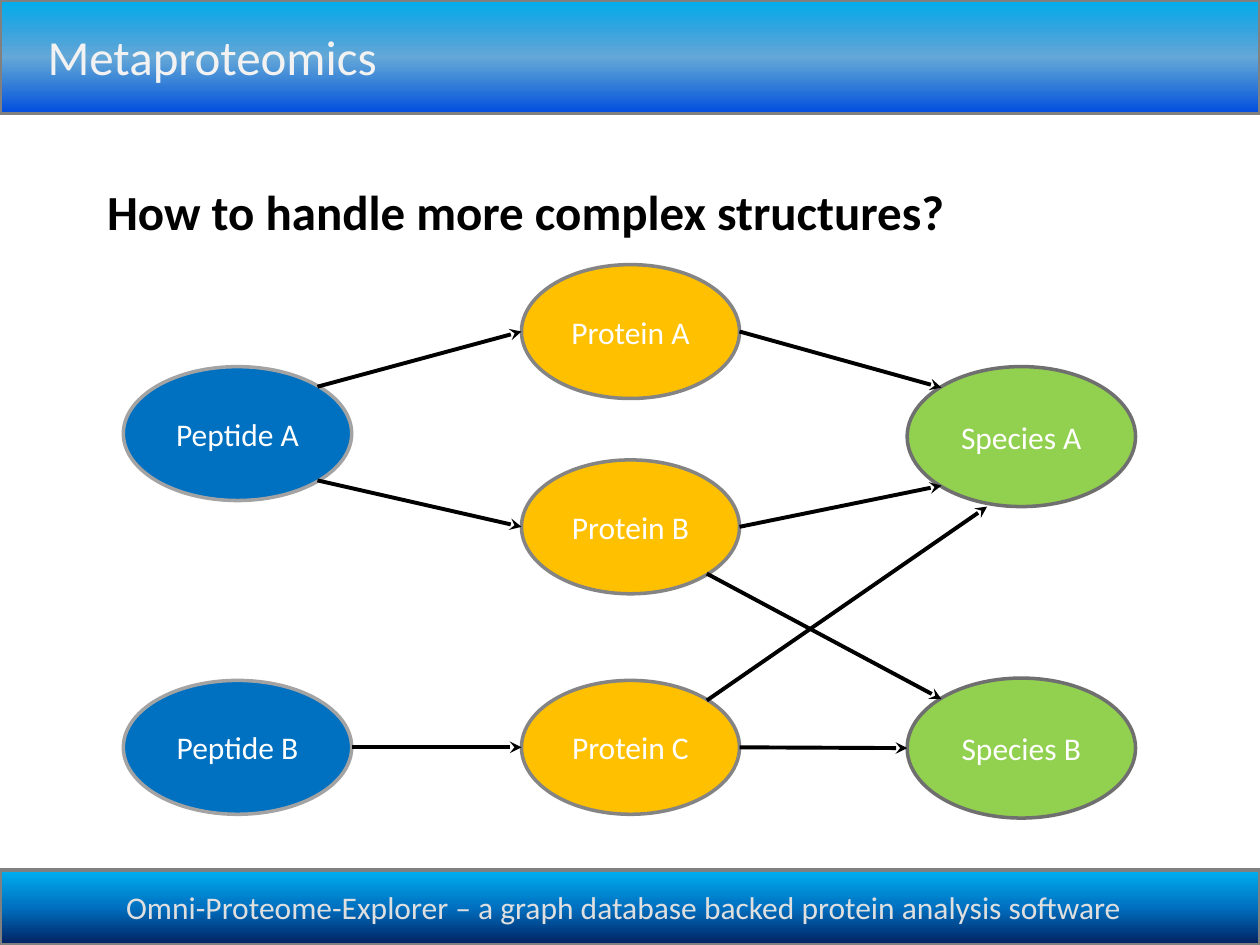
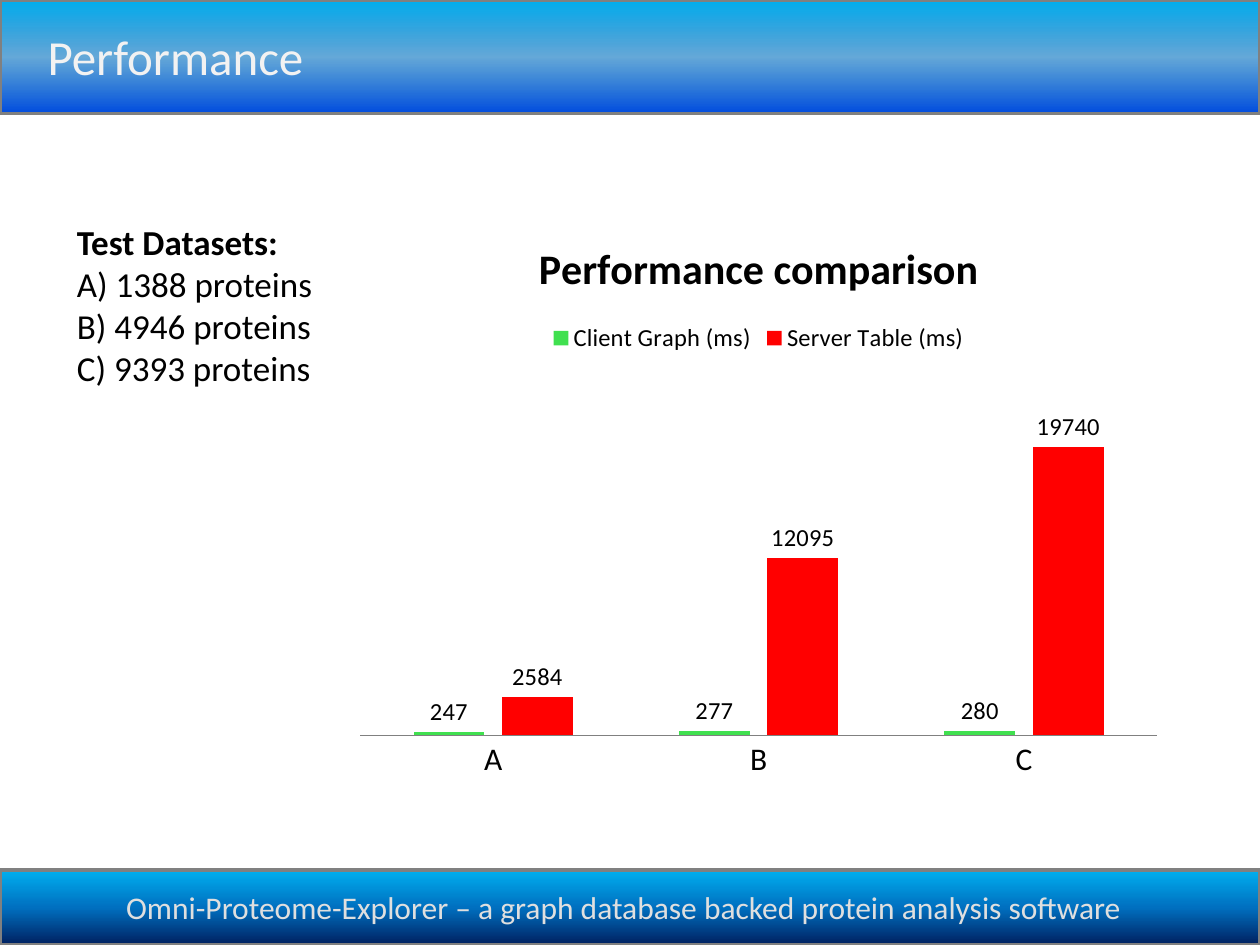
from dataclasses import dataclass

from pptx import Presentation, util as u
from pptx.chart.data import CategoryChartData
from pptx.dml.color import RGBColor
from pptx.enum import chart as ch, shapes, text
from pptx.oxml import parse_xml
from pptx.oxml.ns import nsdecls, qn
from pptx.oxml.xmlchemy import OxmlElement

Pt = u.Pt


@dataclass(frozen=True)
class Theme:
    font: str = "Calibri"
    ink: str = "000000"
    white: str = "FFFFFF"
    title: str = "F2F2F2"
    foot: str = "DFDFDF"
    edge: str = "808080"
    blue: str = "0070C0"
    gold: str = "FFC000"
    green: str = "92D050"
    client: str = "40E04F"
    server: str = "FF0000"
    # Gradient stops: place in percent, colour, opacity in percent
    head_grad: tuple = ((0, "00B0F0", 100), (50, "0070C0", 60), (100, "004BE0", 100))
    foot_grad: tuple = ((0, "00B0F0", 100), (50, "0070C0", 100), (100, "002060", 100))
    head_size: int = 28
    chart_size: int = 24
    list_size: int = 20
    base_size: int = 18
    label_size: int = 14


def rgb(code):
    return RGBColor.from_string(code)


class Deck:
    def __init__(self, theme):
        self.theme = theme
        self.prs = Presentation()
        self.prs.slide_width, self.prs.slide_height = Pt(720), Pt(540)
        self.slide = None

    def style(self, font, size, color, bold=False):
        font.name, font.size, font.bold = self.theme.font, Pt(size), bold
        font.color.rgb = rgb(color)

    def place(self, shape, box):
        shape.left, shape.top, shape.width, shape.height = map(Pt, box)

    def begin(self, title):
        """Start a slide with its title; the first one also fills the master."""
        first = self.slide is None
        self.slide = self.prs.slides.add_slide(self.prs.slide_layouts[1])
        if first:
            self.frame()
        head = self.slide.shapes.title
        self.place(head, (20, 11.5, 329, 41))
        self.label(head, [title], self.theme.head_size, self.theme.title)

    def label(self, shape, lines, size, color, bold=0):
        """Set left-aligned lines, of which the first `bold` are bold."""
        frame = shape.text_frame
        frame.text = "\n".join(lines)
        frame.word_wrap = True
        frame.auto_size = text.MSO_AUTO_SIZE.NONE
        frame.vertical_anchor = text.MSO_ANCHOR.TOP
        for i, para in enumerate(frame.paragraphs):
            para.alignment = text.PP_ALIGN.LEFT
            for run in para.runs:
                self.style(run.font, size, color, i < bold)

    def body(self, box, lines, size):
        """Fill the body placeholder with plain lines under a bold first one."""
        shape = self.slide.placeholders[1]
        self.place(shape, box)
        self.label(shape, lines, size, self.theme.ink, bold=1)
        for para in shape.text_frame.paragraphs:
            para.space_before = Pt(0)
            props = para._p.get_or_add_pPr()
            props.set("marL", "0")
            props.set("indent", "0")
            props.append(OxmlElement("a:buNone"))

    def band(self, top, height, stops):
        shape = self.slide.shapes.add_shape(
            shapes.MSO_SHAPE.RECTANGLE, 0, Pt(top), Pt(720), Pt(height))
        marks = "".join(
            f'<a:gs pos="{pos * 1000}"><a:srgbClr val="{color}">'
            f'<a:alpha val="{alpha * 1000}"/></a:srgbClr></a:gs>'
            for pos, color, alpha in stops)
        shape.element.spPr.find(qn("a:prstGeom")).addnext(parse_xml(
            f'<a:gradFill {nsdecls("a")}><a:gsLst>{marks}</a:gsLst>'
            '<a:lin ang="5400000" scaled="0"/></a:gradFill>'))
        self.trim(shape, self.theme.edge)
        return shape

    def trim(self, shape, edge):
        shape.line.color.rgb = rgb(edge)
        shape.line.width = Pt(2)
        shape.shadow.inherit = False

    def frame(self):
        """Build the bands and the footer, then move them to the master."""
        t = self.theme
        note = self.slide.shapes.add_textbox(Pt(65), Pt(504), Pt(600), Pt(29))
        self.label(note, ["Omni-Proteome-Explorer – a graph database backed "
                          "protein analysis software"], t.base_size, t.foot)
        parts = [self.band(0, 65, t.head_grad), self.band(497, 43, t.foot_grad), note]
        for number, part in enumerate(parts, 20):
            part.element.xpath(".//p:cNvPr")[0].set("id", str(number))
            self.prs.slide_master.shapes.element.append(part.element)

    def node(self, name, box, fill, edge):
        shape = self.slide.shapes.add_shape(shapes.MSO_SHAPE.OVAL, *map(Pt, box))
        shape.fill.solid()
        shape.fill.fore_color.rgb = rgb(fill)
        self.trim(shape, edge)
        frame = shape.text_frame
        frame.text = name
        frame.vertical_anchor = text.MSO_ANCHOR.MIDDLE
        para = frame.paragraphs[0]
        para.alignment = text.PP_ALIGN.CENTER
        self.style(para.runs[0].font, self.theme.base_size, self.theme.white)
        return shape

    def arrow(self, start, spot, end, goal):
        """Join two nodes; spots are shares of a node's width and height."""
        ends = [int(v) for node, (x, y) in ((start, spot), (end, goal))
                for v in (node.left + x * node.width, node.top + y * node.height)]
        line = self.slide.shapes.add_connector(shapes.MSO_CONNECTOR.STRAIGHT, *ends)
        line.line.color.rgb = rgb(self.theme.ink)
        line.line.width = Pt(2.25)
        tip = OxmlElement("a:tailEnd")
        tip.set("type", "stealth")
        line.element.spPr.find(qn("a:ln")).append(tip)
        line.element.spPr.append(OxmlElement("a:effectLst"))

    def columns(self, box, title, names, series):
        """Add a column chart; series holds (name, values, colour)."""
        t = self.theme
        data = CategoryChartData()
        data.categories = names
        for name, values, _ in series:
            data.add_series(name, values)
        chart = self.slide.shapes.add_chart(
            ch.XL_CHART_TYPE.COLUMN_CLUSTERED, *map(Pt, box), data).chart
        self.style(chart.font, 10, t.ink)
        chart.chart_title.text_frame.text = title
        run = chart.chart_title.text_frame.paragraphs[0].runs[0]
        self.style(run.font, t.chart_size, t.ink, True)
        chart.chart_title.include_in_layout = False
        chart.has_legend = True
        chart.legend.position = ch.XL_LEGEND_POSITION.TOP
        chart.legend.include_in_layout = False
        self.style(chart.legend.font, t.label_size, t.ink)
        chart.value_axis.visible = False
        chart.value_axis.has_major_gridlines = False
        chart.value_axis.minimum_scale = 0
        axis = chart.category_axis
        axis.major_tick_mark = ch.XL_TICK_MARK.NONE
        axis.format.line.color.rgb = rgb(t.edge)
        self.style(axis.tick_labels.font, t.base_size, t.ink)
        plot = chart.plots[0]
        plot.gap_width, plot.overlap = 150, -25
        plot.vary_by_categories = False
        for bars, (_, _, color) in zip(plot.series, series):
            bars.format.fill.solid()
            bars.format.fill.fore_color.rgb = rgb(color)
            labels = bars.data_labels
            labels.show_value = True
            labels.position = ch.XL_LABEL_POSITION.OUTSIDE_END
            self.style(labels.font, t.label_size, t.ink)


def graph(deck):
    t = deck.theme
    deck.begin("Metaproteomics")
    deck.body((54, 100, 499, 45), ["How to handle more complex structures?"], t.head_size)

    # Each group: left, width, height, fill, edge, then the top of each node
    groups = {
        "Peptide": (70.5, 130.5, 76.5, t.blue, "A3A3A3", (209.5, 388.8)),
        "Protein": (298, 124.6, 76.5, t.gold, "848484", (151.2, 262.8, 388.8)),
        "Species": (518.4, 130.5, 80, t.green, "6F6F6F", (209.5, 387.5)),
    }
    nodes = {}
    for kind, (left, width, height, fill, edge, tops) in groups.items():
        for letter, top in zip("ABC", tops):
            name = f"{kind} {letter}"
            nodes[name] = deck.node(name, (left, top, width, height), fill, edge)

    near, far = 0.15, 0.85
    west, east = (0, 0.5), (1, 0.5)
    links = (
        ("Peptide A", (far, near), "Protein A", west),
        ("Peptide A", (far, far), "Protein B", west),
        ("Peptide B", east, "Protein C", west),
        ("Protein A", east, "Species A", (near, near)),
        ("Protein B", east, "Species A", (near, far)),
        ("Protein B", (far, far), "Species B", (near, near)),
        ("Protein C", (far, near), "Species A", (0.35, 1)),
        ("Protein C", east, "Species B", west),
    )
    for start, spot, end, goal in links:
        deck.arrow(nodes[start], spot, nodes[end], goal)


def speed(deck):
    t = deck.theme
    deck.begin("Performance")
    counts = {"A": 1388, "B": 4946, "C": 9393}
    lines = [f"{key}) {count} proteins" for key, count in counts.items()]
    deck.body((36.7, 122.4, 160, 106.5), ["Test Datasets:", *lines], t.list_size)
    deck.columns((196.5, 122.4, 474, 329), "Performance comparison", list(counts), (
        ("Client Graph (ms)", (247, 277, 280), t.client),
        ("Server Table (ms)", (2584, 12095, 19740), t.server),
    ))


def main():
    deck = Deck(Theme())
    graph(deck)
    speed(deck)
    deck.prs.save("out.pptx")


if __name__ == "__main__":
    main()
